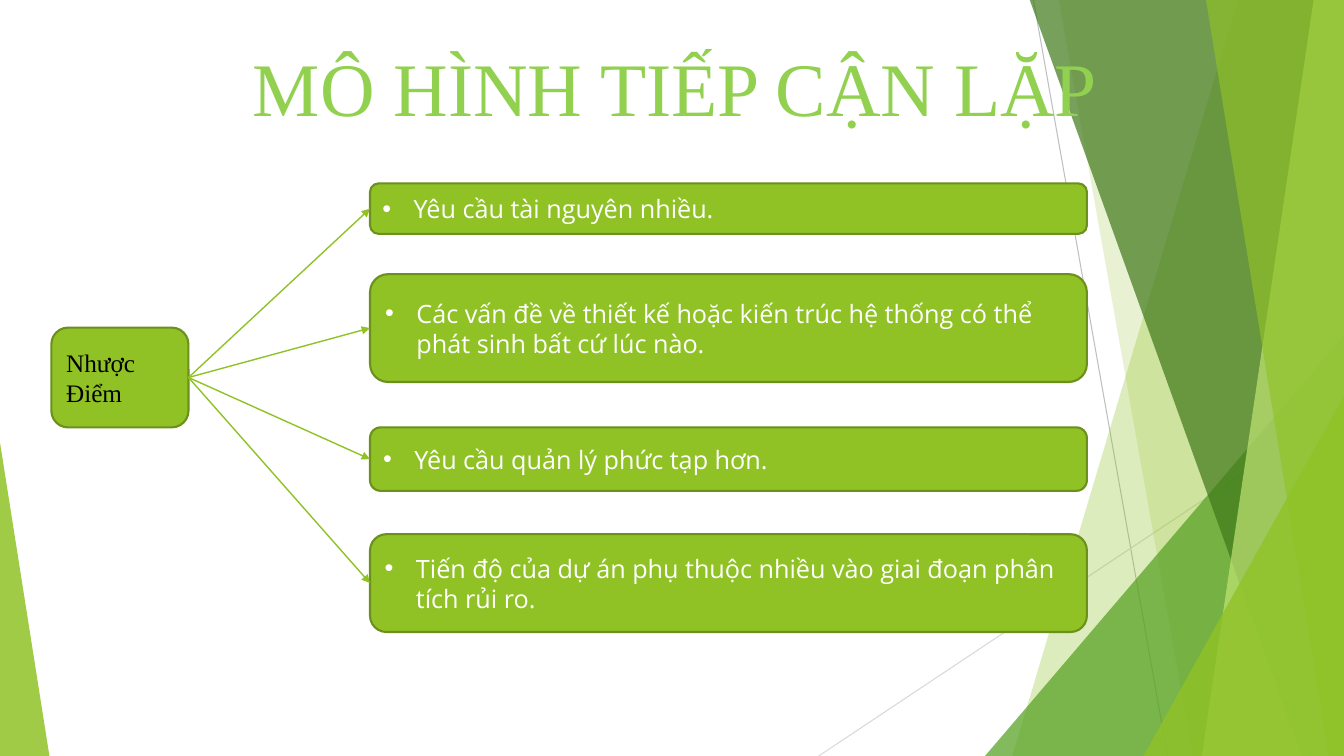
from dataclasses import dataclass

from pptx import Presentation
from pptx.dml.color import RGBColor
from pptx.enum.shapes import MSO_CONNECTOR as Connector, MSO_SHAPE as Shape
from pptx.enum.text import MSO_ANCHOR as Anchor, PP_ALIGN as Align
from pptx.oxml.ns import qn
from pptx.oxml.xmlchemy import OxmlElement
from pptx.util import Inches, Pt


@dataclass(frozen=True)
class Theme:
    green: str = "90C226"
    border: str = "6B901C"
    title: str = "92D050"
    leaf: str = "54A021"
    forest: str = "3F7819"
    lime: str = "C0E474"
    black: str = "000000"
    white: str = "FFFFFF"
    gray: str = "BFBFBF"
    pale_gray: str = "D9D9D9"
    serif: str = "Times New Roman"
    sans: str = "Open Sans"
    title_size: float = 54
    body_size: float = 18
    border_width: float = 1.5
    arrow_width: float = 1
    hairline: float = 0.75


THEME = Theme()
WIDTH, HEIGHT = 13.33, 7.5
FACET_TOP = -0.01
LEFT_SITE, RIGHT_SITE = 1, 3

# Bands from back to front: top left x, bottom left x, colour, opacity
BACK_BANDS = [
    (12.28, 10.04, THEME.green, 30),
    (10.5, 11.83, THEME.green, 20),
]
FRONT_BANDS = [
    (10.21, 12.91, THEME.forest, 70),
    (13.03, 11.92, THEME.lime, 70),
    (11.96, 13.18, THEME.green, 65),
]

# Drawbacks: top, height, wording
DRAWBACKS = [
    (1.82, 0.5, "Yêu cầu tài nguyên nhiều."),
    (2.72, 1.07, "Các vấn đề về thiết kế hoặc kiến trúc hệ thống "
                 "có thể phát sinh bất cứ lúc nào."),
    (4.24, 0.63, "Yêu cầu quản lý phức tạp hơn."),
    (5.3, 0.97, "Tiến độ của dự án phụ thuộc nhiều vào giai đoạn "
                "phân tích rủi ro."),
]


def rgb(color):
    return RGBColor.from_string(color)


def add_element(parent, tag, **attributes):
    element = OxmlElement(tag)
    for name, value in attributes.items():
        element.set(name, str(value))
    parent.append(element)
    return element


def paint_facet(shape, color, opacity):
    shape.shadow.inherit = False
    shape.line.fill.background()
    shape.fill.solid()
    shape.fill.fore_color.rgb = rgb(color)
    fill = shape.element.spPr.find(qn("a:solidFill"))
    add_element(fill[0], "a:alpha", val=opacity * 1000)


def add_band(page, top_x, bottom_x, color, opacity):
    builder = page.shapes.build_freeform(Inches(top_x), Inches(FACET_TOP))
    corners = [(WIDTH, FACET_TOP), (WIDTH, HEIGHT), (bottom_x, HEIGHT)]
    builder.add_line_segments([(Inches(x), Inches(y)) for x, y in corners])
    paint_facet(builder.convert_to_shape(), color, opacity)


def add_triangle(page, left, top, right, apex, color, opacity):
    shape = page.shapes.add_shape(
        Shape.ISOSCELES_TRIANGLE, Inches(left), Inches(top),
        Inches(right - left), Inches(HEIGHT - top))
    shape.adjustments[0] = apex
    paint_facet(shape, color, opacity)


def add_line(page, start, end, color, width):
    points = [Inches(value) for value in (*start, *end)]
    line = page.shapes.add_connector(Connector.STRAIGHT, *points)
    line.line.color.rgb = rgb(color)
    line.line.width = Pt(width)
    add_element(line.element.spPr, "a:effectLst")
    return line


def add_arrow(page, source, target):
    arrow = add_line(page, (0, 0), (1, 1), THEME.green, THEME.arrow_width)
    arrow.begin_connect(source, RIGHT_SITE)
    arrow.end_connect(target, LEFT_SITE)
    add_element(arrow.line._get_or_add_ln(), "a:tailEnd", type="triangle")


def write(box, text, font, size, color):
    box.text_frame.word_wrap = True
    para = box.text_frame.paragraphs[0]
    para.alignment = Align.LEFT
    span = para.add_run()
    span.text = text
    span.font.color.rgb = rgb(color)
    for name, value in {"name": font, "size": Pt(size)}.items():
        setattr(span.font, name, value)
    return para


def add_bullet(para):
    properties = para._p.get_or_add_pPr()
    for name, value in {"marL": 0.31, "indent": -0.31}.items():
        properties.set(name, str(Inches(value)))
    add_element(properties, "a:buFont", typeface="Arial")
    add_element(properties, "a:buChar", char="•")


def add_card(page, left, top, width, height):
    card = page.shapes.add_shape(
        Shape.ROUNDED_RECTANGLE, Inches(left), Inches(top),
        Inches(width), Inches(height))
    card.shadow.inherit = False
    card.fill.solid()
    card.fill.fore_color.rgb = rgb(THEME.green)
    card.line.color.rgb = rgb(THEME.border)
    card.line.width = Pt(THEME.border_width)
    card.text_frame.vertical_anchor = Anchor.MIDDLE
    return card


def add_backdrop(page):
    add_line(page, (10.25, 0), (11.58, HEIGHT), THEME.gray, THEME.hairline)
    add_line(page, (WIDTH, 4.03), (8.12, HEIGHT),
             THEME.pale_gray, THEME.hairline)
    for band in BACK_BANDS:
        add_band(page, *band)
    add_triangle(page, 9.77, 3.33, WIDTH, 1, THEME.leaf, 72)
    for band in FRONT_BANDS:
        add_band(page, *band)
    add_triangle(page, 11.34, 3.93, WIDTH, 1, THEME.green, 80)
    add_triangle(page, 0, 4.39, 0.49, 0, THEME.green, 85)


def add_title(page, text):
    box = page.shapes.add_textbox(
        Inches(2.41), Inches(0.36), Inches(10), Inches(1.07))
    write(box, text, THEME.serif, THEME.title_size, THEME.title)


def add_drawbacks(page):
    root = add_card(page, 0.51, 3.25, 1.36, 0.99)
    write(root, "Nhược Điểm", THEME.serif, THEME.body_size, THEME.black)
    cards = []
    for top, height, text in DRAWBACKS:
        card = add_card(page, 3.67, top, 7.11, height)
        add_bullet(write(card, text, THEME.sans, THEME.body_size, THEME.white))
        cards.append(card)
    for card in cards:
        add_arrow(page, root, card)


def main():
    deck = Presentation()
    deck.slide_width, deck.slide_height = Inches(WIDTH), Inches(HEIGHT)
    page = deck.slides.add_slide(deck.slide_layouts[6])
    add_backdrop(page)
    add_title(page, "MÔ HÌNH TIẾP CẬN LẶP")
    add_drawbacks(page)
    deck.save("out.pptx")


if __name__ == "__main__":
    main()
